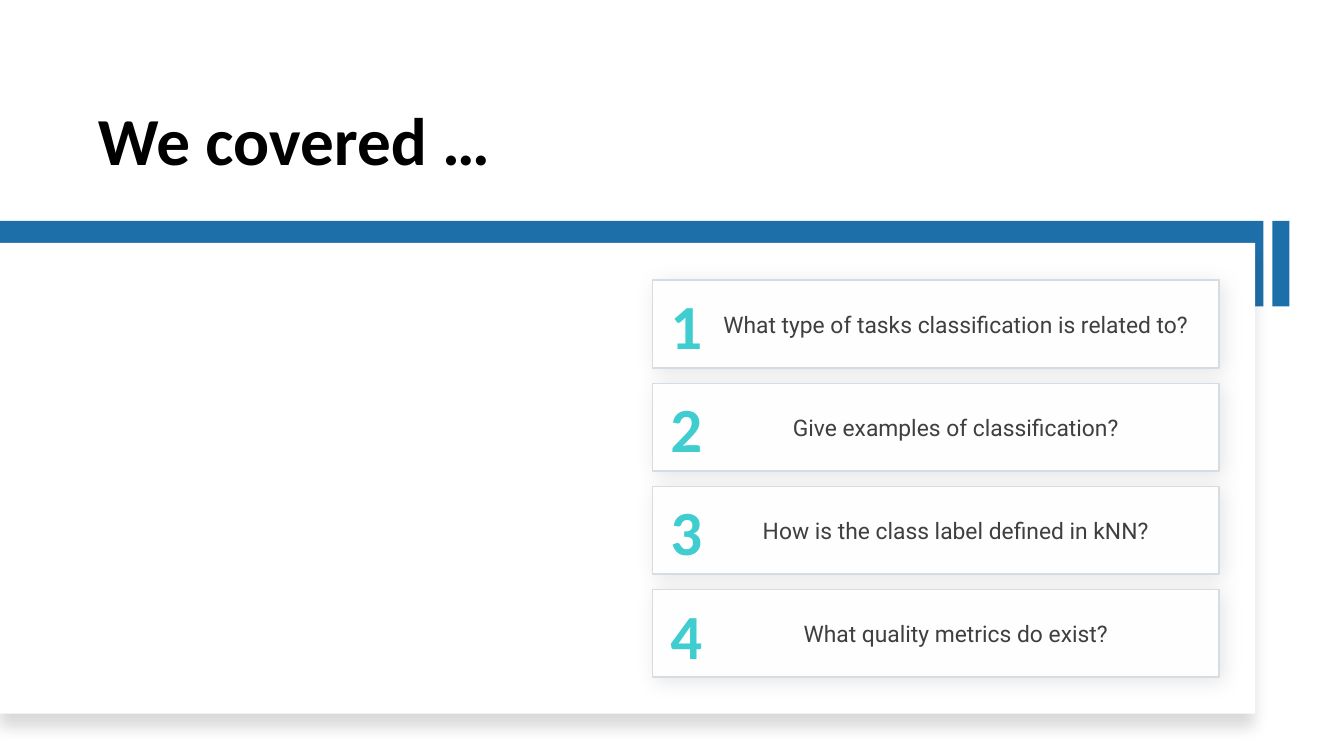
import pptx
import pptx.util
import pptx.dml.color
import pptx.enum.shapes
import pptx.enum.text
import pptx.oxml.ns
from lxml import etree

# Content
TITLE = "We covered …"
QUESTIONS = [
    "What type of tasks classification is related to?",
    "Give examples of classification?",
    "How is the class label defined in kNN?",
    "What quality metrics do exist?",
]

# Look
COLORS = {"title": "000000", "band": "1D6FA9", "panel": "FFFFFF", "card": "FEFEFE",
          "edge": "D5DDE3", "number": "40CDD0", "question": "3F3F3F", "shadow": "000000"}
FONTS = {
    "title": {"name": "Calibri", "size": pptx.util.Pt(48), "bold": True},
    "number": {"name": "Calibri", "size": pptx.util.Pt(44.9), "bold": True},
    "question": {"name": "Roboto", "size": pptx.util.Pt(16.3), "bold": False},
}
PANEL_SHADOW = {"alpha": 15, "blur": 11, "dist": 10, "angle": 90}
CARD_SHADOW = {"alpha": 9, "blur": 15, "dist": 3, "angle": 45}

# Layout, in inches
SLIDE_W, SLIDE_H = 13.33, 7.5
CARD_X, CARD_Y, CARD_W, CARD_H, CARD_STEP = 6.47, 2.78, 5.62, 0.87, 1.023
NUMBER_X, NUMBER_DY, NUMBER_W, NUMBER_H = 6.65, 0.06, 0.59, 0.76
QUESTION_INDENT = 0.4

ANCHOR = pptx.enum.text.MSO_ANCHOR
ALIGN = pptx.enum.text.PP_ALIGN


def rgb(key):
    return pptx.dml.color.RGBColor.from_string(COLORS[key])


def inches(*values):
    return [pptx.util.Inches(v) for v in values]


def add_shadow(sp, alpha, blur, dist, angle):
    qn = pptx.oxml.ns.qn
    effects = sp._element.spPr.find(qn("a:effectLst"))
    outer = etree.SubElement(effects, qn("a:outerShdw"), blurRad=str(pptx.util.Pt(blur)),
                             dist=str(pptx.util.Pt(dist)), dir=str(angle * 60000),
                             algn="ctr", rotWithShape="0")
    color = etree.SubElement(outer, qn("a:srgbClr"), val=COLORS["shadow"])
    etree.SubElement(color, qn("a:alpha"), val=str(alpha * 1000))


def add_rect(s, box, fill, edge=None, shadow=None):
    sp = s.shapes.add_shape(pptx.enum.shapes.MSO_SHAPE.RECTANGLE, *inches(*box))
    sp.shadow.inherit = False
    sp.fill.solid()
    sp.fill.fore_color.rgb = rgb(fill)
    if edge:
        sp.line.color.rgb = rgb(edge)
        sp.line.width = pptx.util.Pt(1)
    else:
        sp.line.fill.background()
    if shadow:
        add_shadow(sp, **shadow)
    return sp


def write(sp, text, role, align, anchor, margin=None):
    tf = sp.text_frame
    tf.word_wrap = True
    tf.auto_size = pptx.enum.text.MSO_AUTO_SIZE.NONE
    tf.vertical_anchor = anchor
    if margin is not None:
        for side in ("left", "top", "right", "bottom"):
            setattr(tf, "margin_" + side, margin)
    p = tf.paragraphs[0]
    p.alignment = align
    p.space_after = pptx.util.Pt(6)
    r = p.add_run()
    r.text = text
    for name, value in FONTS[role].items():
        setattr(r.font, name, value)
    r.font.color.rgb = rgb(role)
    return p


def main():
    prs = pptx.Presentation()
    prs.slide_width, prs.slide_height = inches(SLIDE_W, SLIDE_H)
    s = prs.slides.add_slide(prs.slide_layouts[5])

    # Title
    title = s.shapes.title
    title.left, title.top, title.width, title.height = inches(0.87, 0.42, 11.01, 1.42)
    p = write(title, TITLE, "title", ALIGN.LEFT, ANCHOR.BOTTOM)
    p.line_spacing = 0.9

    # Blue band, white panel over it, and the end bar
    add_rect(s, (0, 2.19, 12.53, 0.85), "band")
    add_rect(s, (0, 2.41, 12.45, 4.67), "panel", shadow=PANEL_SHADOW)
    add_rect(s, (12.62, 2.19, 0.17, 0.85), "band")

    # Numbered question cards
    for i, question in enumerate(QUESTIONS):
        y = CARD_Y + i * CARD_STEP
        card = add_rect(s, (CARD_X, y, CARD_W, CARD_H), "card", "edge", CARD_SHADOW)
        p = write(card, question, "question", ALIGN.CENTER, ANCHOR.MIDDLE, 0)
        pPr = p._p.get_or_add_pPr()
        pPr.set("marL", "0")
        pPr.set("indent", str(pptx.util.Inches(QUESTION_INDENT)))
        number = s.shapes.add_textbox(
            *inches(NUMBER_X, y + NUMBER_DY, NUMBER_W, NUMBER_H))
        write(number, str(i + 1), "number", ALIGN.LEFT, ANCHOR.MIDDLE, 0)

    prs.save("out.pptx")


if __name__ == "__main__":
    main()
